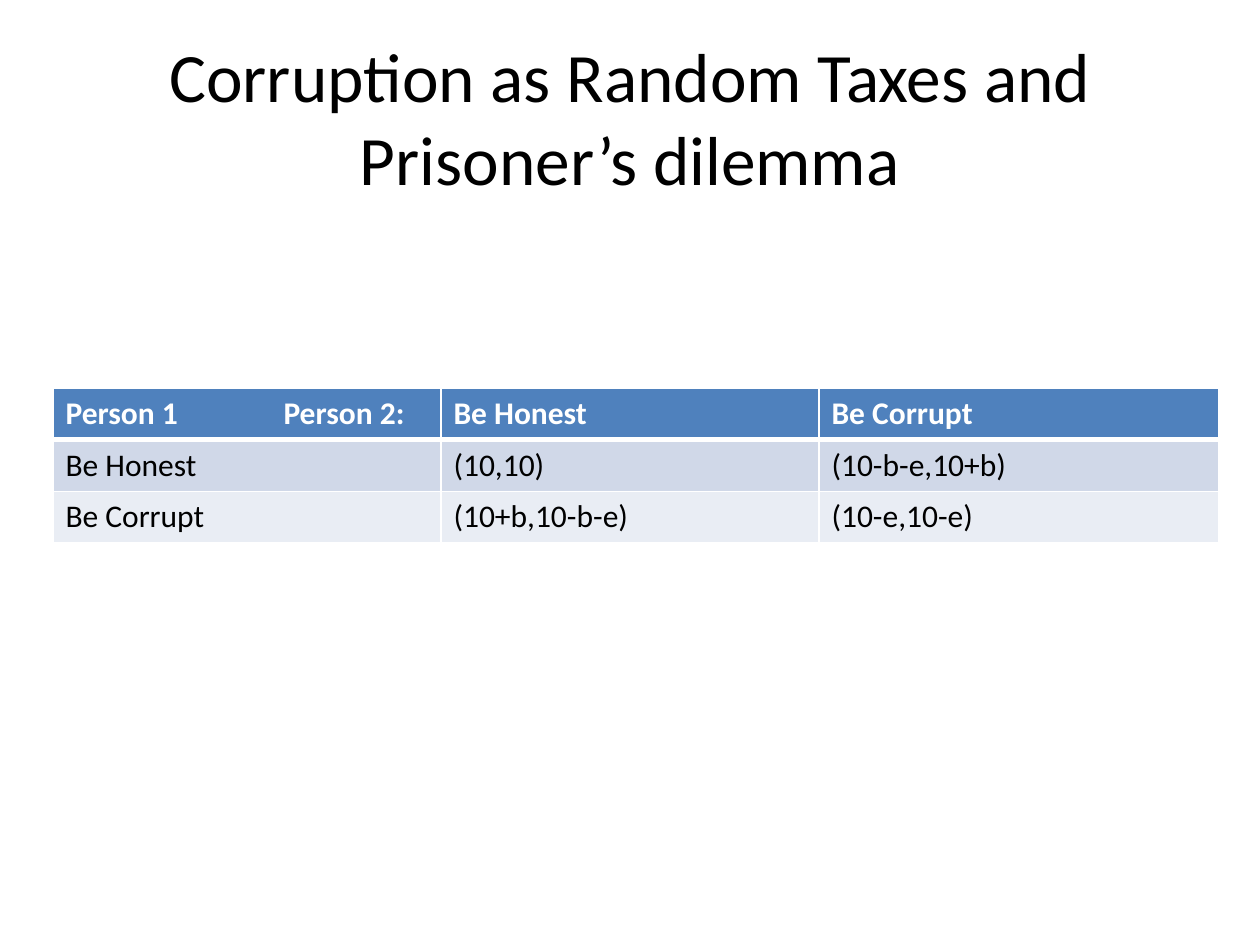
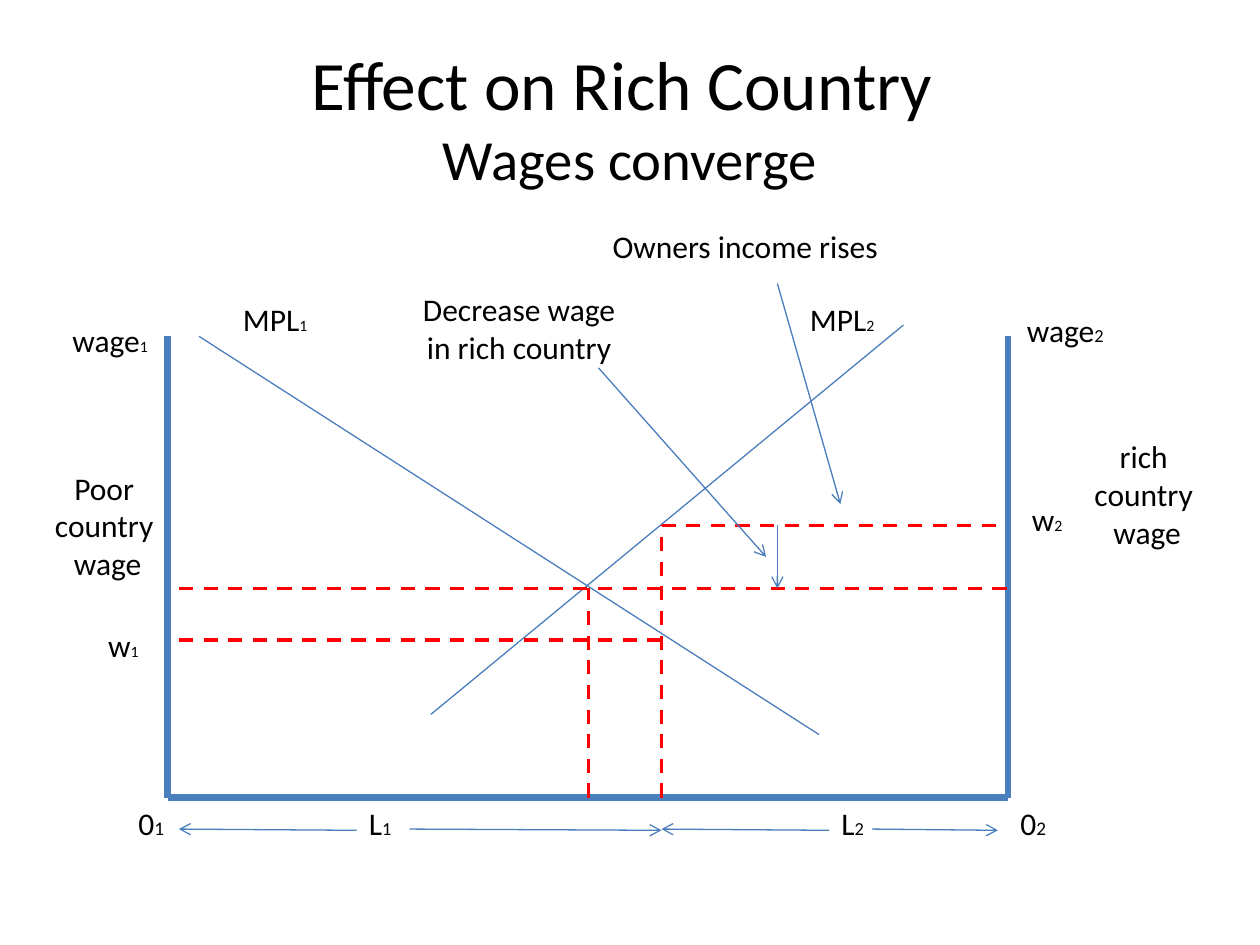
from pptx import Presentation, util as u
from pptx.dml.color import RGBColor
from pptx.enum import dml, shapes, text
from pptx.oxml.ns import qn
from lxml import etree

FONT = "Calibri"
COLORS = {
    "text": "000000", "white": "FFFFFF", "axis": "4B7EBC", "guide": "FF0000",
    "header": "4F81BD", "band_dark": "D0D8E8", "band_light": "E9EDF4",
}
CENTER, LEFT = text.PP_ALIGN.CENTER, text.PP_ALIGN.LEFT

LEFT_AXIS, RIGHT_AXIS, BASE, AXIS_TOP = 1.33, 8, 6.33, 2.67
MIDDLE, OLD_SPLIT = 4.67, 5.25
NEW_WAGE, RICH_WAGE, POOR_WAGE = 4.67, 4.17, 5.08

PAYOFFS = [
    ["Person 1\tPerson 2:", "Be Honest", "Be Corrupt"],
    ["Be Honest", "(10,10)", "(10-b-e,10+b)"],
    ["Be Corrupt", "(10+b,10-b-e)", "(10-e,10-e)"],
]
AXES = [
    (LEFT_AXIS, AXIS_TOP, LEFT_AXIS, BASE),
    (MIDDLE, BASE, LEFT_AXIS, BASE),
    (RIGHT_AXIS, AXIS_TOP, RIGHT_AXIS, BASE),
    (RIGHT_AXIS, BASE, MIDDLE, BASE),
]
MPL_CURVES = [(1.58, 2.67, 6.5, 5.83), (3.42, 5.67, 7.17, 2.58)]
GUIDES = [
    (OLD_SPLIT, RICH_WAGE, 7.92, RICH_WAGE),
    (1.42, POOR_WAGE, OLD_SPLIT, POOR_WAGE),
    (MIDDLE, BASE, MIDDLE, NEW_WAGE),
    (OLD_SPLIT, BASE, OLD_SPLIT, RICH_WAGE),
    (1.42, NEW_WAGE, RIGHT_AXIS, NEW_WAGE),
]
ARROWS = [
    (6.58, 6.59, OLD_SPLIT, 6.58),
    (6.92, 6.58, 7.92, 6.59),
    (3.25, 6.58, OLD_SPLIT, 6.59),
    (2.83, 6.59, 1.42, 6.58),
    (6.17, RICH_WAGE, 6.17, NEW_WAGE),
    (4.75, 2.92, 6.08, 4.42),
    (6.17, 2.25, 6.67, 4),
]
SYMBOLS = [
    ("wage", "1", 9, 0.46, 2.5, 0.83, CENTER),
    ("wage", "2", 10.5, 8.04, 2.42, 0.83, CENTER),
    ("w", "1", 9, 0.75, 4.92, 0.46, CENTER),
    ("w", "2", 9, 8.08, 3.92, 0.46, CENTER),
    ("MPL", "1", 9, 1.83, 2.33, 0.72, LEFT),
    ("MPL", "2", 9, 6.33, 2.33, 0.72, LEFT),
    ("L", "1", 10.5, 2.83, 6.33, 0.39, LEFT),
    ("L", "2", 10.5, 6.58, 6.33, 0.39, LEFT),
    ("0", "1", 11, 1, 6.33, 0.41, LEFT),
    ("0", "2", 11, 8, 6.33, 0.41, LEFT),
]
NOTES = [
    (["Poor ", "country ", "wage"], 0.33, 3.67, 1.05, 1.01),
    (["rich ", "country ", "wage"], 8.58, 3.42, 1.05, 1.01),
    (["Decrease wage", " in rich country "], 3.22, 2.25, 1.8, 0.71),
    (["Owners income rises"], 4.75, 1.75, 2.33, 0.4),
]


def rgb(name):
    return RGBColor.from_string(COLORS[name])


def style(p, size=None, color="text", bold=False, align=LEFT):
    p.alignment = align
    p.font.name = FONT
    p.font.bold = bold
    p.font.color.rgb = rgb(color)
    if size:
        p.font.size = u.Pt(size)


def add_sized_run(p, content, size):
    r = p.add_run()
    r.text = content
    r.font.size = u.Pt(size)


def add_box(s, x, y, w, h):
    return s.shapes.add_textbox(*map(u.Inches, (x, y, w, h))).text_frame


def add_title(s, title, subtitle=None):
    tf = add_box(s, 0.5, 0.3, 9, 1.25)
    tf.word_wrap = True
    tf.vertical_anchor = text.MSO_ANCHOR.MIDDLE
    p = tf.paragraphs[0]
    style(p, align=CENTER)
    add_sized_run(p, title, 39.6)
    if subtitle:
        p.add_line_break()
        add_sized_run(p, subtitle, 32.4)


def add_label(s, x, y, w, h):
    tf = add_box(s, x, y, w, h)
    tf.word_wrap = False
    tf.auto_size = text.MSO_AUTO_SIZE.SHAPE_TO_FIT_TEXT
    return tf


def add_symbol(s, base, index, index_size, x, y, w, align):
    p = add_label(s, x, y, w, 0.4).paragraphs[0]
    style(p, align=align)
    add_sized_run(p, base, 18)
    add_sized_run(p, index, index_size)


def add_note(s, lines, x, y, w, h):
    tf = add_label(s, x, y, w, h)
    for i, line in enumerate(lines):
        p = tf.add_paragraph() if i else tf.paragraphs[0]
        p.text = line
        style(p, 18, align=CENTER)


def add_line(s, ends, color="axis", width=0.75, dashed=False, arrow=False):
    line = s.shapes.add_connector(
        shapes.MSO_CONNECTOR.STRAIGHT, *map(u.Inches, ends))
    line.line.color.rgb = rgb(color)
    line.line.width = u.Pt(width)
    if dashed:
        line.line.dash_style = dml.MSO_LINE.DASH
    if arrow:
        etree.SubElement(line.line._get_or_add_ln(), qn("a:tailEnd"), type="arrow")
    etree.SubElement(line._element.spPr, qn("a:effectLst"))


def add_cell_borders(cell, bottom_width):
    tc_pr = cell._tc.get_or_add_tcPr()
    for side, width in (("L", 1), ("R", 1), ("T", 1), ("B", bottom_width)):
        ln = etree.SubElement(tc_pr, qn(f"a:ln{side}"), w=str(u.Pt(width)))
        fill = etree.SubElement(ln, qn("a:solidFill"))
        etree.SubElement(fill, qn("a:srgbClr"), val=COLORS["white"])


def add_tab_stop(p, position):
    tabs = etree.Element(qn("a:tabLst"))
    etree.SubElement(tabs, qn("a:tab"), pos=str(u.Inches(position)), algn="l")
    p._p.get_or_add_pPr().find(qn("a:defRPr")).addprevious(tabs)


def add_payoff_table(s, rows):
    frame = s.shapes.add_table(
        len(rows), len(rows[0]), *map(u.Inches, (0.42, 3.08, 9.25, 1.22)))
    table = frame.table
    for column, width in zip(table.columns, (3.08, 3, 3.17)):
        column.width = u.Inches(width)
    fills = ("header", "band_dark", "band_light")
    for i, (row, fill) in enumerate(zip(rows, fills)):
        table.rows[i].height = u.Inches(0.41)
        header = i == 0
        for j, content in enumerate(row):
            cell = table.cell(i, j)
            add_cell_borders(cell, 3 if header else 1)
            cell.fill.solid()
            cell.fill.fore_color.rgb = rgb(fill)
            p = cell.text_frame.paragraphs[0]
            p.text = content
            style(p, 18, "white" if header else "text", header)
    add_tab_stop(table.cell(0, 0).text_frame.paragraphs[0], 1.73)


def add_wage_diagram(s):
    for ends in AXES:
        add_line(s, ends, width=4)
    for ends in MPL_CURVES:
        add_line(s, ends)
    for ends in GUIDES:
        add_line(s, ends, "guide", 2, dashed=True)
    for ends in ARROWS:
        add_line(s, ends, arrow=True)
    for symbol in SYMBOLS:
        add_symbol(s, *symbol)
    for note in NOTES:
        add_note(s, *note)


def main():
    prs = Presentation()
    prs.slide_width, prs.slide_height = u.Inches(10), u.Inches(7.5)
    blank = prs.slide_layouts[6]

    s = prs.slides.add_slide(blank)
    add_title(s, "Corruption as Random Taxes and Prisoner’s dilemma")
    add_payoff_table(s, PAYOFFS)

    s = prs.slides.add_slide(blank)
    add_title(s, "Effect on Rich Country ", "Wages converge")
    add_wage_diagram(s)

    prs.save("out.pptx")


if __name__ == "__main__":
    main()
